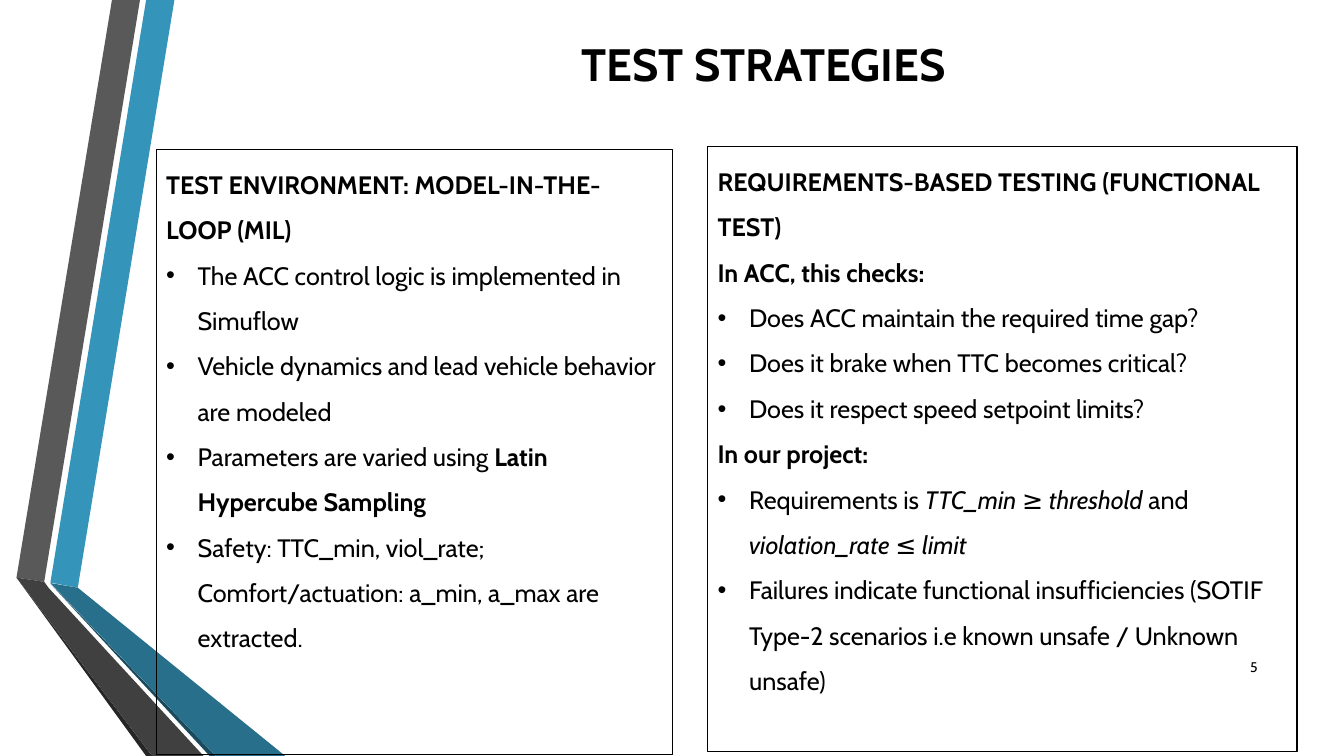
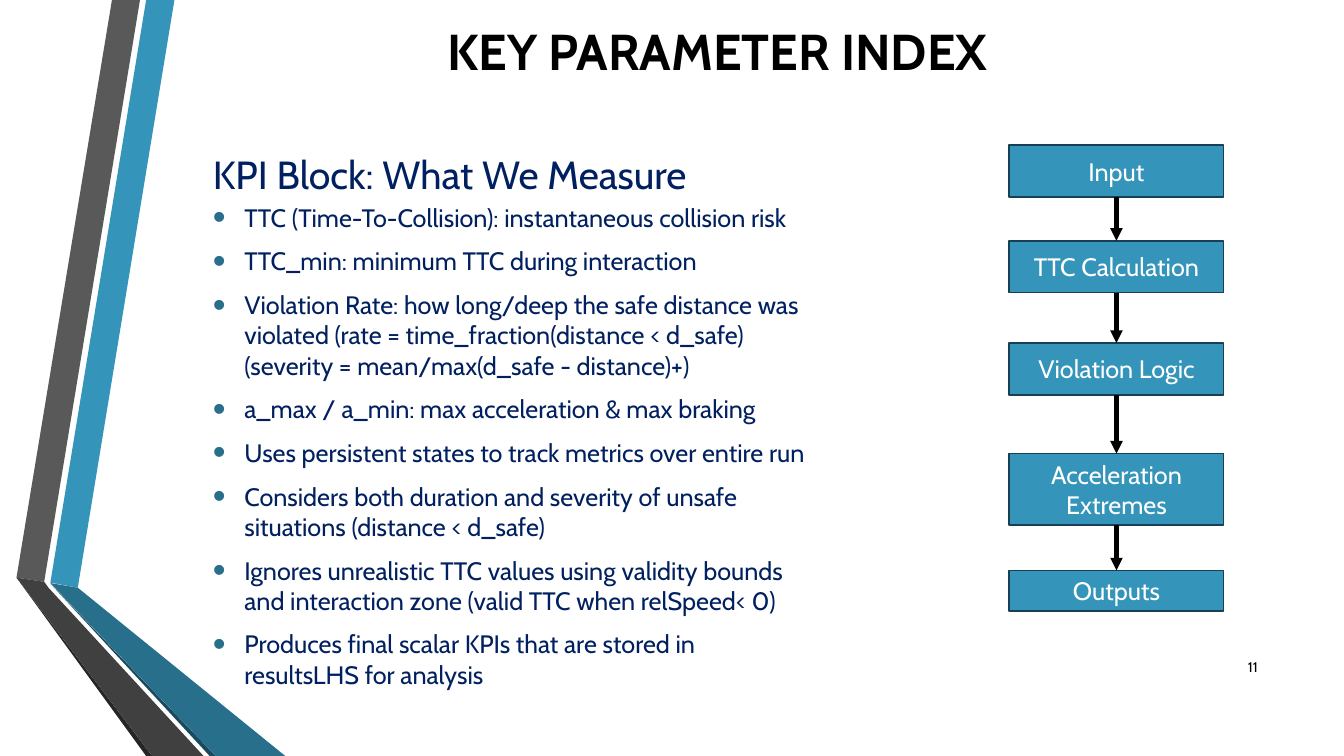
"""Build two slides on test strategies and key parameters for adaptive cruise control."""
import dataclasses
import itertools

import lxml.etree
import pptx
import pptx.dml.color
import pptx.enum.shapes
import pptx.enum.text
import pptx.oxml.ns
import pptx.util

Pt = pptx.util.Pt
Align = pptx.enum.text.PP_ALIGN
Anchor = pptx.enum.text.MSO_ANCHOR


@dataclasses.dataclass(frozen=True)
class Theme:
    font: str = "Cabin"
    black: str = "000000"
    white: str = "FFFFFF"
    navy: str = "002060"
    blue: str = "3494BA"
    deep_blue: str = "276F8B"
    dark_blue: str = "1A4A5D"
    box_line: str = "174152"
    gray: str = "595959"
    dark_gray: str = "404040"
    charcoal: str = "262626"
    body_size: float = 18
    heading_size: float = 28
    number_size: float = 10
    indent: float = 22.5


@dataclasses.dataclass(frozen=True)
class ListStyle:
    color: str
    line_spacing: float = 1.0
    space_before: float = 0
    space_after: float = 0
    bullet_color: str = ""
    bullet_percent: int = 100


THEME = Theme()
PANEL_LIST = ListStyle(THEME.black, line_spacing=1.5)
KPI_LIST = ListStyle(THEME.navy, space_before=3.6, space_after=6,
                     bullet_color=THEME.deep_blue, bullet_percent=145)

BANDS = (
    (THEME.blue, ((36, 416.2), (55.6, 419.8), (124.6, 0), (104.4, 0))),
    (THEME.gray, ((100, 0), (80, 0), (11.8, 412.6), (31.6, 415.6))),
    (THEME.charcoal, ((11.8, 412.6), (104.4, 540), (108.7, 540))),
    (THEME.dark_blue, ((36, 416.9), (149.8, 540), (154.1, 540))),
    (THEME.deep_blue, ((36, 416.5), (154.1, 540), (203.8, 540), (55.6, 419.8))),
    (THEME.dark_gray, ((145.4, 540), (34.6, 419.8), (31.6, 415.6),
                       (11.8, 412.6), (108.7, 540))),
)

ENVIRONMENT = (
    (False, (("TEST ENVIRONMENT: MODEL-IN-THE-LOOP (MIL)", "b"),)),
    (True, (("The ACC control logic is implemented in Simuflow", ""),)),
    (True, (("Vehicle dynamics and lead vehicle behavior are modeled", ""),)),
    (True, (("Parameters are varied using ", ""), ("Latin Hypercube Sampling", "b"))),
    (True, (("Safety: TTC_min, viol_rate; Comfort/actuation: a_min, a_max "
             "are extracted.", ""),)),
)

REQUIREMENTS = (
    (False, (("REQUIREMENTS-BASED TESTING (FUNCTIONAL TEST)", "b"),)),
    (False, (("In ACC, this checks:", "b"),)),
    (True, (("Does ACC maintain the required time gap?", ""),)),
    (True, (("Does it brake when TTC becomes critical?", ""),)),
    (True, (("Does it respect speed setpoint limits?", ""),)),
    (False, (("In our project:", "b"),)),
    (True, (("Requirements is ", ""), ("TTC_min ≥ threshold", "i"),
            (" and ", ""), ("violation_rate ≤ limit", "i"))),
    (True, (("Failures indicate functional insufficiencies (SOTIF Type-2 scenarios "
             "i.e known unsafe / Unknown unsafe)", ""),)),
)

MEASURES = (
    "TTC (Time-To-Collision): instantaneous collision risk",
    "TTC_min: minimum TTC during interaction",
    "Violation Rate: how long/deep the safe distance was violated "
    "(rate = time_fraction(distance < d_safe) "
    "(severity = mean/max(d_safe - distance)+)",
    "a_max / a_min: max acceleration & max braking",
    "Uses persistent states to track metrics over entire run",
    "Considers both duration and severity of unsafe situations (distance < d_safe)",
    "Ignores unrealistic TTC values using validity bounds and interaction zone "
    "(valid TTC when relSpeed< 0)",
    "Produces final scalar KPIs that are stored in resultsLHS for analysis",
)

FLOW_STEPS = (
    ("Input", 103.7, 37),
    ("TTC Calculation", 172, 37),
    ("Violation Logic", 245, 37),
    ("Acceleration Extremes", 324, 51),
    ("Outputs", 407.5, 29),
)


def rgb(value):
    return pptx.dml.color.RGBColor.from_string(value)


def add_element(parent, tag, **attributes):
    element = lxml.etree.SubElement(parent, pptx.oxml.ns.qn(tag))
    for name, value in attributes.items():
        element.set(name, str(value))
    return element


def paint(shape, fill=None, line=None, line_width=0.75):
    shape.shadow.inherit = False
    if fill:
        shape.fill.solid()
        shape.fill.fore_color.rgb = rgb(fill)
    else:
        shape.fill.background()
    if line:
        shape.line.color.rgb = rgb(line)
        shape.line.width = Pt(line_width)
    else:
        shape.line.fill.background()


def add_run(paragraph, text, size, color, style=""):
    run = paragraph.add_run()
    run.text = text
    run.font.name = THEME.font
    run.font.size = Pt(size)
    run.font.color.rgb = rgb(color)
    run.font.bold = "b" in style
    run.font.italic = "i" in style


def write_line(shape, text, size, color, align, style=""):
    frame = shape.text_frame
    frame.word_wrap = True
    frame.auto_size = pptx.enum.text.MSO_AUTO_SIZE.NONE
    frame.vertical_anchor = Anchor.MIDDLE
    paragraph = frame.paragraphs[0]
    paragraph.alignment = align
    add_run(paragraph, text, size, color, style)


def add_bullet(paragraph, style):
    properties = paragraph._p.get_or_add_pPr()
    properties.set("marL", str(Pt(THEME.indent)))
    properties.set("indent", str(-Pt(THEME.indent)))
    if style.bullet_color:
        color = add_element(properties, "a:buClr")
        add_element(color, "a:srgbClr", val=style.bullet_color)
    add_element(properties, "a:buSzPct", val=style.bullet_percent * 1000)
    add_element(properties, "a:buFont", typeface="Arial")
    add_element(properties, "a:buChar", char="•")


def write_list(shape, items, style, heading_size=THEME.body_size):
    frame = shape.text_frame
    frame.word_wrap = True
    frame.vertical_anchor = Anchor.TOP
    for index, (bulleted, runs) in enumerate(items):
        paragraph = frame.add_paragraph() if index else frame.paragraphs[0]
        paragraph.alignment = Align.LEFT
        paragraph.line_spacing = style.line_spacing
        if bulleted:
            add_bullet(paragraph, style)
            paragraph.space_before = Pt(style.space_before)
            paragraph.space_after = Pt(style.space_after)
        size = THEME.body_size if bulleted else heading_size
        for text, emphasis in runs:
            add_run(paragraph, text, size, style.color, emphasis)


def add_box(slide, left, top, width, height):
    return slide.shapes.add_shape(pptx.enum.shapes.MSO_SHAPE.RECTANGLE,
                                  Pt(left), Pt(top), Pt(width), Pt(height))


def add_text_box(slide, left, top, width, height):
    return slide.shapes.add_textbox(Pt(left), Pt(top), Pt(width), Pt(height))


def add_bands(slide):
    for color, points in BANDS:
        start, *rest = [(Pt(x), Pt(y)) for x, y in points]
        builder = slide.shapes.build_freeform(*start)
        builder.add_line_segments(rest, close=True)
        paint(builder.convert_to_shape(), fill=color)


def add_slide(presentation, title, title_size, title_place, number):
    slide = presentation.slides.add_slide(presentation.slide_layouts[5])
    add_bands(slide)
    heading = slide.shapes.title
    heading.left, heading.top, heading.width, heading.height = map(Pt, title_place)
    write_line(heading, title, title_size, THEME.black, Align.CENTER, "b")
    number_box = add_text_box(slide, 862.5, 462, 43, 29)
    write_line(number_box, number, THEME.number_size, THEME.black, Align.RIGHT)
    return slide


def add_panel(slide, place, items):
    panel = add_box(slide, *place)
    paint(panel, line=THEME.black)
    write_list(panel, items, PANEL_LIST)


def add_arrow(slide, upper, lower):
    connector = slide.shapes.add_connector(
        pptx.enum.shapes.MSO_CONNECTOR.STRAIGHT, 0, 0, 0, 0)
    connector.begin_connect(upper, 2)
    connector.end_connect(lower, 0)
    connector.line.color.rgb = rgb(THEME.black)
    connector.line.width = Pt(3)
    properties = connector.element.spPr
    add_element(properties.find(pptx.oxml.ns.qn("a:ln")), "a:tailEnd", type="triangle")
    add_element(properties, "a:effectLst")


def add_flow(slide, left, width):
    boxes = []
    for label, top, height in FLOW_STEPS:
        box = add_box(slide, left, top, width, height)
        paint(box, THEME.blue, THEME.box_line, 1.25)
        write_line(box, label, THEME.body_size, THEME.white, Align.CENTER)
        boxes.append(box)
    for upper, lower in itertools.pairwise(boxes):
        add_arrow(slide, upper, lower)


def build_strategies(presentation):
    slide = add_slide(presentation, "TEST STRATEGIES", 32.4, (177, 20, 737, 50), "5")
    add_panel(slide, (111.6, 106.5, 368.5, 432.5), ENVIRONMENT)
    add_panel(slide, (505.5, 104.5, 421, 432.5), REQUIREMENTS)


def build_parameters(presentation):
    slide = add_slide(presentation, "KEY PARAMETER INDEX", 36, (264, 0, 497, 72), "11")
    items = [(False, (("KPI Block: What We Measure", ""),))]
    items += [(True, ((measure, ""),)) for measure in MEASURES]
    measures_box = add_text_box(slide, 145, 103.5, 443, 402.5)
    write_list(measures_box, items, KPI_LIST, THEME.heading_size)
    add_flow(slide, 721, 153)


def main():
    presentation = pptx.Presentation()
    presentation.slide_width = Pt(960)
    presentation.slide_height = Pt(540)
    build_strategies(presentation)
    build_parameters(presentation)
    presentation.save("out.pptx")


if __name__ == "__main__":
    main()
